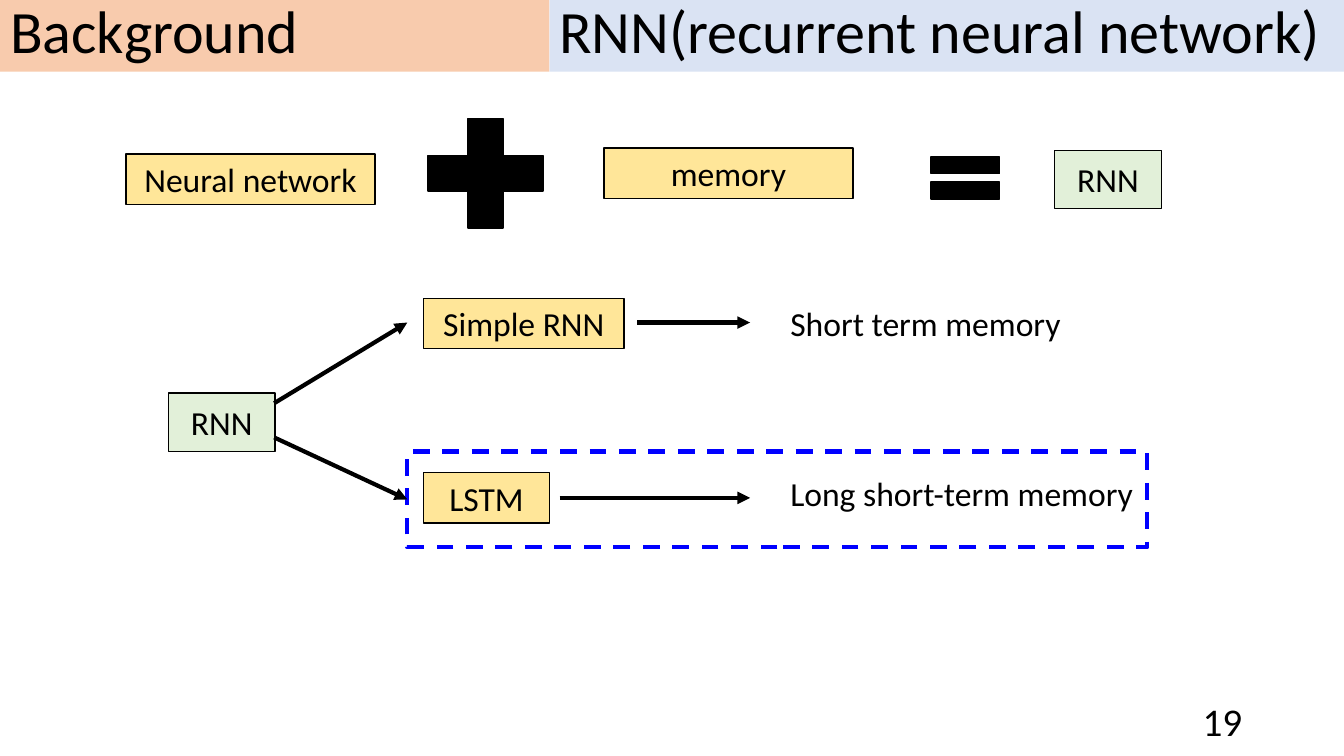
"""Build the Background slide that introduces recurrent neural networks."""
from lxml import etree
from pptx import Presentation
from pptx.dml.color import RGBColor
from pptx.enum.dml import MSO_LINE
from pptx.enum.shapes import MSO_CONNECTOR, MSO_SHAPE
from pptx.enum.text import MSO_ANCHOR as ANCHOR, MSO_AUTO_SIZE, PP_ALIGN as ALIGN
from pptx.oxml.ns import qn
from pptx.util import Inches, Pt

THEME = {
    "font": "Calibri",
    "ink": RGBColor(0x00, 0x00, 0x00),
    "topic": RGBColor(0xF8, 0xCB, 0xAD),
    "subject": RGBColor(0xDA, 0xE3, 0xF3),
    "part": RGBColor(0xFF, 0xE6, 0x99),
    "rnn": RGBColor(0xE2, 0xF0, 0xD9),
    "focus": RGBColor(0x00, 0x00, 0xFF),
    "title_size": Pt(42.9),
    "text_size": Pt(24),
    "number_size": Pt(28),
}


def add_shape(kind, box, fill=None, line=None, width=1):
    sp = slide.shapes.add_shape(kind, *map(Inches, box))
    sp.shadow.inherit = False
    if fill is None:
        sp.fill.background()
    else:
        sp.fill.solid()
        sp.fill.fore_color.rgb = fill
    if line is None:
        sp.line.fill.background()
    else:
        sp.line.color.rgb = line
        sp.line.width = Pt(width)
    return sp


def write(sp, text, size, align=ALIGN.LEFT, anchor=ANCHOR.MIDDLE, spacing=None):
    tf = sp.text_frame
    tf.text = text
    tf.word_wrap = True
    tf.auto_size = MSO_AUTO_SIZE.NONE
    tf.vertical_anchor = anchor
    p = tf.paragraphs[0]
    p.alignment = align
    p.line_spacing = spacing
    font = p.runs[0].font
    font.name = THEME["font"]
    font.size = size
    font.color.rgb = THEME["ink"]


prs = Presentation()
prs.slide_width, prs.slide_height = Inches(13.33), Inches(7.5)
slide = prs.slides.add_slide(prs.slide_layouts[5])

title = slide.shapes.title
title.left, title.top, title.width, title.height = map(Inches, (0, 0, 5.45, 0.71))
title.fill.solid()
title.fill.fore_color.rgb = THEME["topic"]
subject = add_shape(MSO_SHAPE.RECTANGLE, (5.45, 0, 7.88, 0.71), THEME["subject"])
for sp, text in [(title, "Background"), (subject, "RNN(recurrent neural network)")]:
    write(sp, text, THEME["title_size"], spacing=0.8)

for sign, box in [
    (MSO_SHAPE.MATH_PLUS, (4.04, 0.98, 1.55, 1.48)),
    (MSO_SHAPE.MATH_EQUAL, (9.11, 1.41, 0.93, 0.71)),
]:
    add_shape(sign, box, THEME["ink"], THEME["ink"])

for text, box, role in [
    ("Neural network", (1.25, 1.53, 2.47, 0.5), "part"),
    ("memory", (5.99, 1.47, 2.47, 0.5), "part"),
    ("RNN", (10.46, 1.49, 1.06, 0.58), "rnn"),
    ("RNN", (1.67, 3.9, 1.06, 0.58), "rnn"),
    ("Simple RNN", (4.2, 2.96, 1.99, 0.5), "part"),
    ("LSTM", (4.2, 4.69, 1.25, 0.5), "part"),
]:
    sp = add_shape(MSO_SHAPE.RECTANGLE, box, THEME[role], THEME["ink"])
    write(sp, text, THEME["text_size"], ALIGN.CENTER)

for text, box in [
    ("Short term memory", (7.74, 2.96, 3, 0.5)),
    ("Long short-term memory", (7.74, 4.64, 3.64, 0.5)),
]:
    sp = slide.shapes.add_textbox(*map(Inches, box))
    write(sp, text, THEME["text_size"], anchor=ANCHOR.TOP)

focus = add_shape(MSO_SHAPE.RECTANGLE, (4.04, 4.48, 7.34, 0.95), line=THEME["focus"], width=3)
focus.line.dash_style = MSO_LINE.DASH

for x1, y1, x2, y2, target in [
    (2.72, 4, 4.04, 3.2, None),
    (6.32, 3.2, 7.44, 3.2, None),
    (2.72, 4.34, 4.04, 4.94, focus),
    (5.55, 4.94, 7.44, 4.94, None),
]:
    arrow = slide.shapes.add_connector(MSO_CONNECTOR.STRAIGHT, *map(Inches, (x1, y1, x2, y2)))
    if target is not None:
        arrow.end_connect(target, 1)
    arrow.line.color.rgb = THEME["ink"]
    arrow.line.width = Pt(3)
    etree.SubElement(arrow.line._get_or_add_ln(), qn("a:tailEnd"), type="triangle")
    etree.SubElement(arrow._element.spPr, qn("a:effectLst"))

number = slide.shapes.add_textbox(*map(Inches, (9.42, 6.95, 3, 0.4)))
write(number, "19", THEME["number_size"], ALIGN.RIGHT)

prs.save("out.pptx")
